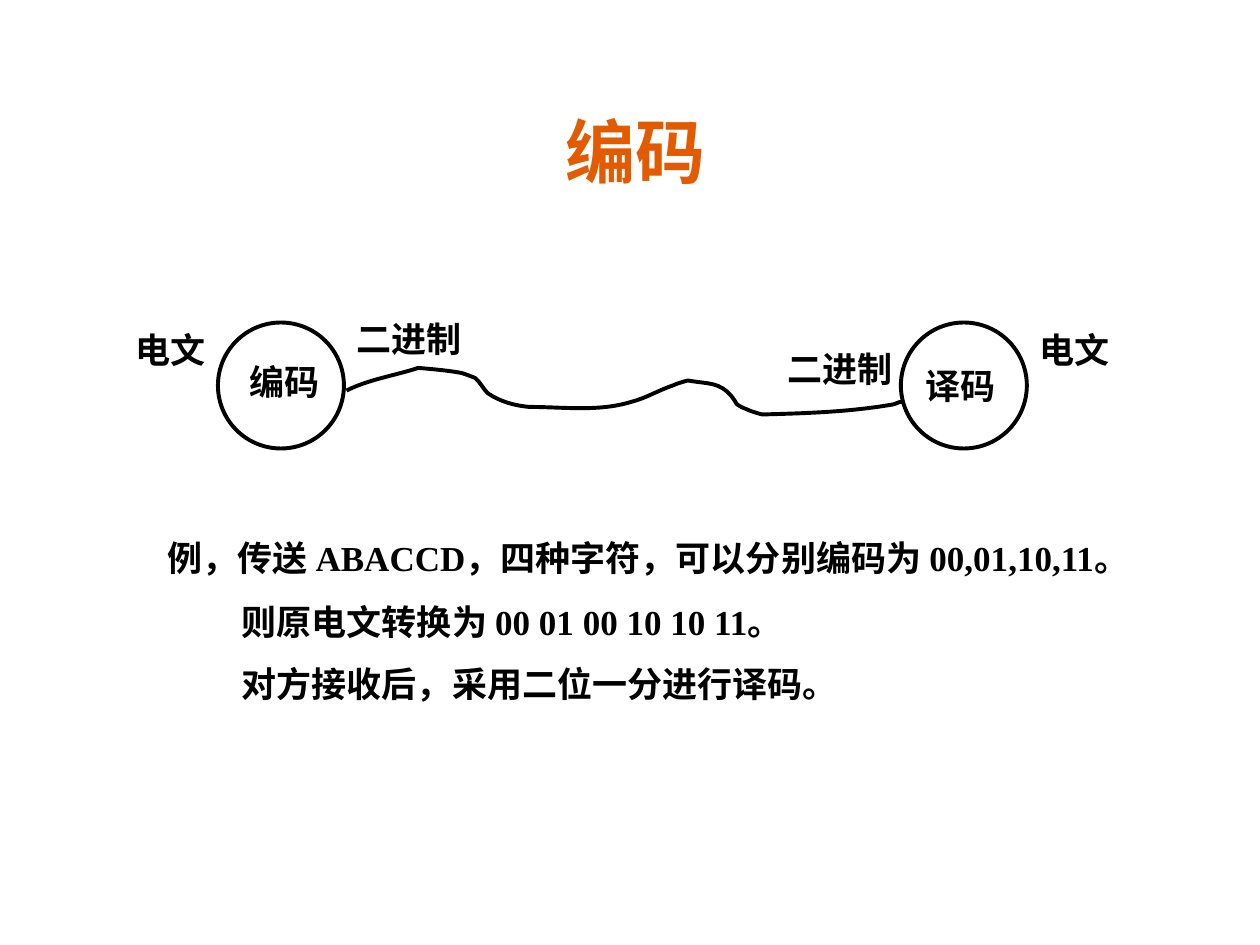
from lxml import etree
from pptx import Presentation
from pptx.dml.color import RGBColor
from pptx.enum.shapes import MSO_SHAPE as Shape
from pptx.enum.text import MSO_ANCHOR as Anchor, PP_ALIGN as Align
from pptx.oxml.ns import qn
from pptx.util import Inches, Pt

INK = "000000"
ORANGE = "E25B00"


def color(code):
    return RGBColor.from_string(code)


class Board:
    font = "Times New Roman"
    size = 20
    weight = 2.25

    def __init__(self, slide):
        self.shapes = slide.shapes

    def text(self, words, x, y, w, h=0.44, font=None, size=None,
             ink=INK, align=Align.LEFT, anchor=Anchor.TOP):
        frame = self.shapes.add_textbox(
            Inches(x), Inches(y), Inches(w), Inches(h)).text_frame
        frame.word_wrap = True
        frame.vertical_anchor = anchor
        para = frame.paragraphs[0]
        para.text = words
        para.alignment = align
        para.font.name = font or self.font
        para.font.size = Pt(size or self.size)
        para.font.bold = True
        para.font.color.rgb = color(ink)

    def outline(self, shape):
        shape.shadow.inherit = False
        shape.fill.background()
        shape.line.color.rgb = color(INK)
        shape.line.width = Pt(self.weight)

    def circle(self, x, y, size):
        self.outline(self.shapes.add_shape(
            Shape.OVAL, Inches(x), Inches(y), Inches(size), Inches(size)))

    def curve(self, start, curves):
        """Draw a chain of cubic curves, each two controls and an end."""
        pen = self.shapes.build_freeform(*map(Inches, start))
        pen.add_line_segments(
            [(Inches(x), Inches(y)) for *_, x, y in curves], close=False)
        shape = pen.convert_to_shape()
        # Turn each straight segment into a cubic one
        lines = list(shape.element.iter(qn("a:lnTo")))
        for line, nums in zip(lines, curves):
            line.tag = qn("a:cubicBezTo")
            for old in list(line):
                line.remove(old)
            for x, y in zip(nums[::2], nums[1::2]):
                etree.SubElement(line, qn("a:pt"),
                                 x=str(Inches(x) - shape.left),
                                 y=str(Inches(y) - shape.top))
        self.outline(shape)


def main():
    deck = Presentation()
    deck.slide_width, deck.slide_height = Inches(10), Inches(7.5)
    board = Board(deck.slides.add_slide(deck.slide_layouts[6]))

    # Title
    board.text("编码", 0.75, 0.75, 8.58, 0.83, font="Comic Neue", size=40,
               ink=ORANGE, align=Align.CENTER, anchor=Anchor.BOTTOM)

    # Example
    for words, x, y, w in [
        ("例，传送 ABACCD，四种字符，可以分别编码为 00,01,10,11。", 1.23, 4.21, 8.17),
        ("则原电文转换为 00 01 00 10 10 11。", 1.82, 4.72, 5.58),
        ("对方接收后，采用二位一分进行译码。", 1.82, 5.21, 5.58),
    ]:
        board.text(words, x, y, w)

    # Sender, receiver and the line between them
    for x in (1.73, 7.15):
        board.circle(x, 2.56, 1)
    board.curve((2.75, 3.1), [
        (2.93, 3.01, 3.14, 2.98, 3.32, 2.92),
        (3.43, 2.93, 3.55, 2.94, 3.66, 2.96),
        (3.7, 2.97, 3.77, 3, 3.77, 3),
        (3.81, 3.03, 3.83, 3.08, 3.87, 3.12),
        (3.97, 3.19, 4.09, 3.22, 4.2, 3.23),
        (4.47, 3.23, 4.75, 3.27, 5.01, 3.19),
        (5.13, 3.16, 5.22, 3.1, 5.34, 3.06),
        (5.38, 3.04, 5.46, 3.02, 5.46, 3.02),
        (5.63, 3.05, 5.71, 3.03, 5.81, 3.15),
        (5.83, 3.17, 5.84, 3.2, 5.85, 3.21),
        (5.88, 3.23, 5.9, 3.24, 5.93, 3.25),
        (5.97, 3.27, 6.05, 3.29, 6.05, 3.29),
        (6.41, 3.28, 6.74, 3.27, 7.09, 3.21),
        (7.15, 3.19, 7.13, 3.19, 7.16, 3.19),
    ])

    # Labels
    for words, x, y, w in [
        ("电文", 0.98, 2.56, 1),
        ("编码", 1.88, 2.81, 0.92),
        ("二进制", 2.73, 2.47, 1.33),
        ("二进制", 6.15, 2.71, 1.33),
        ("译码", 7.25, 2.84, 1.33),
        ("电文", 8.15, 2.56, 1.33),
    ]:
        board.text(words, x, y, w)

    deck.save("out.pptx")


if __name__ == "__main__":
    main()
